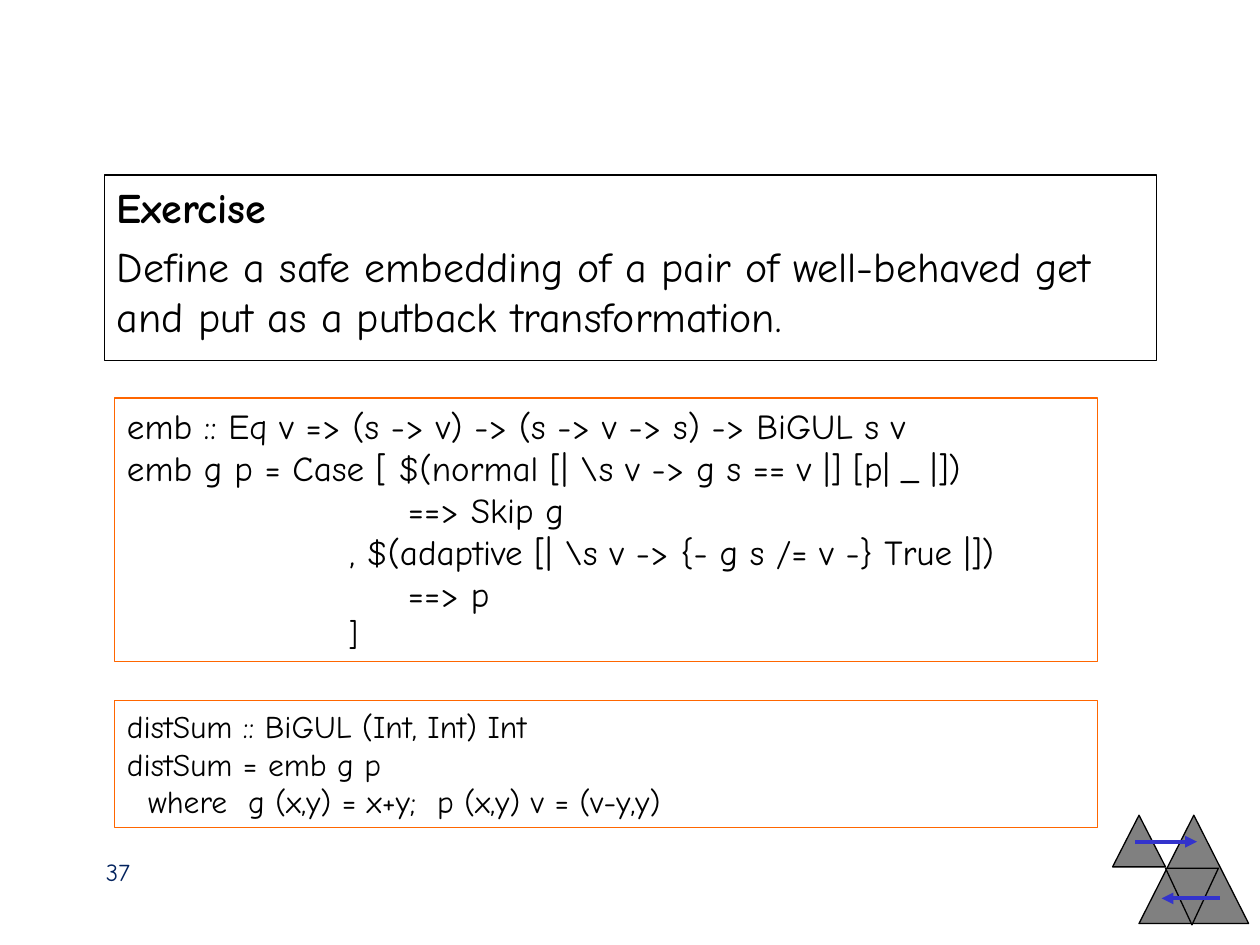
from dataclasses import dataclass

from lxml.etree import SubElement
from pptx import Presentation
from pptx.dml.color import RGBColor
from pptx.enum.shapes import MSO_CONNECTOR, MSO_SHAPE
from pptx.enum.text import MSO_ANCHOR, MSO_AUTO_SIZE, PP_ALIGN
from pptx.oxml.ns import qn
from pptx.util import Inches, Pt

FONT = "Comic Neue"
BLACK = RGBColor(0x00, 0x00, 0x00)
GRAY = RGBColor(0x80, 0x80, 0x80)
BLUE = RGBColor(0x33, 0x33, 0xCC)
NAVY = RGBColor(0x03, 0x23, 0x5E)
ORANGE = RGBColor(0xFF, 0x66, 0x00)


@dataclass(frozen=True)
class Line:
    text: str
    size: float
    bold: bool = False
    space_before: float = 0


@dataclass(frozen=True)
class Panel:
    left: float
    top: float
    width: float
    height: float
    outline: RGBColor
    lines: tuple[Line, ...]
    fit: MSO_AUTO_SIZE = MSO_AUTO_SIZE.SHAPE_TO_FIT_TEXT


@dataclass(frozen=True)
class Triangle:
    left: float
    top: float
    width: float
    height: float
    rotation: int = 0


@dataclass(frozen=True)
class Arrow:
    start: float
    end: float
    y: float


TRIANGLES = (
    Triangle(8.83, 6.47, 0.42, 0.41),
    Triangle(9.04, 6.47, 0.87, 0.86),
    Triangle(9.25, 6.89, 0.42, 0.45, 180),
)
ARROWS = (Arrow(9.01, 9.5, 6.68), Arrow(9.68, 9.22, 7.13))

EXERCISE = Panel(0.83, 1.39, 8.35, 1.47, BLACK, (
    Line("Exercise", 24, bold=True),
    Line("Define a safe embedding of a pair of well-behaved get "
         "and put as a putback transformation.", 24, space_before=4.8),
), MSO_AUTO_SIZE.NONE)

EMBEDDING = Panel(0.91, 3.16, 7.8, 2.09, ORANGE, (
    Line("emb :: Eq v => (s -> v) -> (s -> v -> s) -> BiGUL s v", 20),
    Line(r"emb g p = Case [ $(normal [| \s v -> g s == v |] [p| _ |])", 20),
    Line("                        ==> Skip g", 20),
    Line(r"                   , $(adaptive [| \s v -> {- g s /= v -} True |])", 20),
    Line("                        ==> p", 20),
    Line("                     ]", 18),
))

DIST_SUM = Panel(0.91, 5.56, 7.8, 1.01, ORANGE, (
    Line("distSum :: BiGUL (Int, Int) Int", 18),
    Line("distSum = emb g p", 18),
    Line("  where  g (x,y) = x+y;  p (x,y) v = (v-y,y)", 18),
))


def apply_format(target, values: dict) -> None:
    for name, value in values.items():
        setattr(target, name, value)


def write_line(paragraph, line: Line, color: RGBColor, align: PP_ALIGN) -> None:
    paragraph.alignment = align
    if line.space_before:
        paragraph.space_before = Pt(line.space_before)
    run = paragraph.add_run()
    run.text = line.text
    apply_format(run.font, {"name": FONT, "size": Pt(line.size), "bold": line.bold})
    run.font.color.rgb = color


def draw_triangle(slide, triangle: Triangle) -> None:
    shape = slide.shapes.add_shape(
        MSO_SHAPE.FLOWCHART_EXTRACT, Inches(triangle.left), Inches(triangle.top),
        Inches(triangle.width), Inches(triangle.height))
    shape.shadow.inherit = False
    shape.rotation = triangle.rotation
    shape.fill.solid()
    shape.fill.fore_color.rgb = GRAY
    shape.line.color.rgb = BLACK
    shape.line.width = Pt(0.75)


def draw_arrow(slide, arrow: Arrow) -> None:
    connector = slide.shapes.add_connector(
        MSO_CONNECTOR.STRAIGHT, Inches(arrow.start), Inches(arrow.y),
        Inches(arrow.end), Inches(arrow.y))
    connector.line.color.rgb = BLUE
    connector.line.width = Pt(2.25)
    SubElement(connector.line._get_or_add_ln(), qn("a:tailEnd"), type="triangle")
    SubElement(connector._element.spPr, qn("a:effectLst"))


def draw_panel(slide, panel: Panel) -> None:
    shape = slide.shapes.add_shape(
        MSO_SHAPE.RECTANGLE, Inches(panel.left), Inches(panel.top),
        Inches(panel.width), Inches(panel.height))
    shape.shadow.inherit = False
    shape.fill.background()
    shape.line.color.rgb = panel.outline
    shape.line.width = Pt(0.75)
    frame = shape.text_frame
    apply_format(frame, {"word_wrap": True, "auto_size": panel.fit,
                         "vertical_anchor": MSO_ANCHOR.TOP})
    for index, line in enumerate(panel.lines):
        paragraph = frame.add_paragraph() if index else frame.paragraphs[0]
        write_line(paragraph, line, BLACK, PP_ALIGN.LEFT)


def draw_page_number(slide, number: str) -> None:
    box = slide.shapes.add_textbox(Inches(0.5), Inches(6.75), Inches(0.63), Inches(0.52))
    box.text_frame.word_wrap = True
    write_line(box.text_frame.paragraphs[0], Line(number, 14), NAVY, PP_ALIGN.RIGHT)


def main() -> None:
    presentation = Presentation()
    apply_format(presentation, {"slide_width": Inches(10), "slide_height": Inches(7.5)})
    slide = presentation.slides.add_slide(presentation.slide_layouts[6])
    for triangle in TRIANGLES:
        draw_triangle(slide, triangle)
    for arrow in ARROWS:
        draw_arrow(slide, arrow)
    draw_panel(slide, EXERCISE)
    draw_page_number(slide, "37")
    for code in (EMBEDDING, DIST_SUM):
        draw_panel(slide, code)
    presentation.save("out.pptx")


if __name__ == "__main__":
    main()
